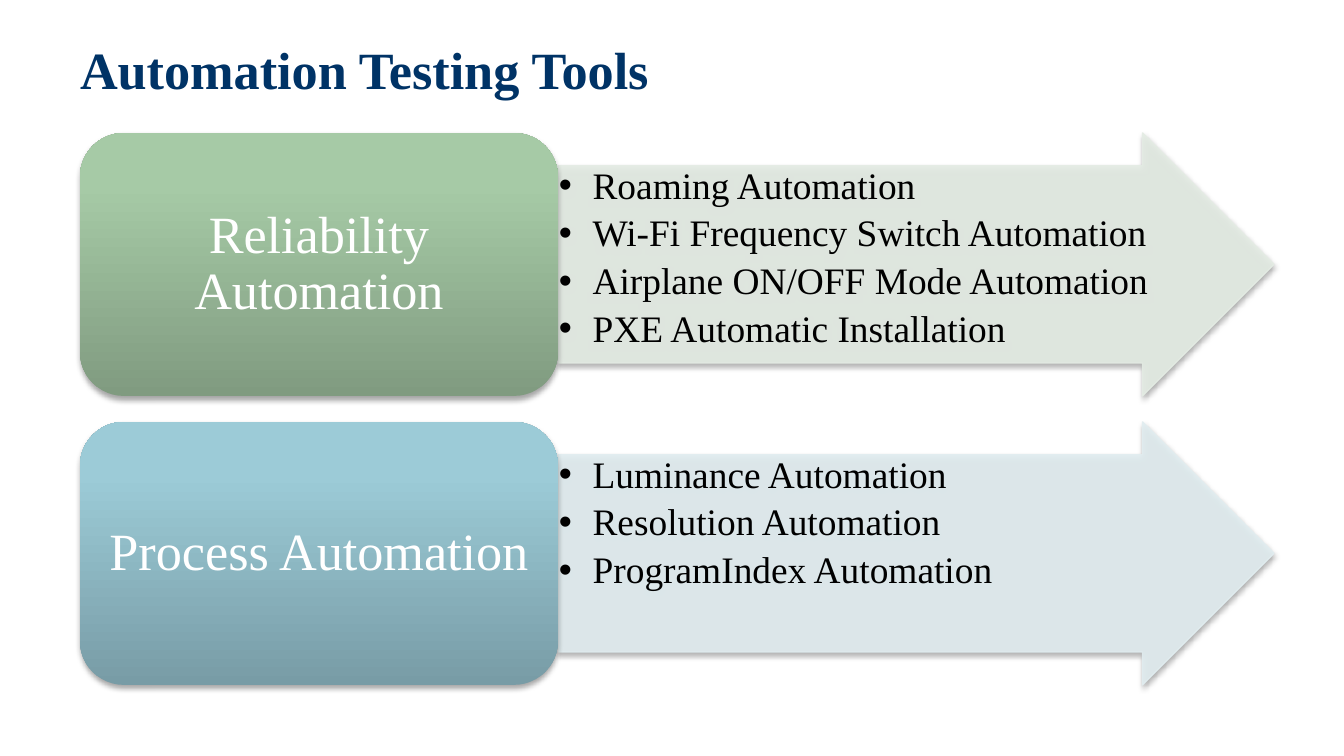
from copy import deepcopy

from lxml import etree
from pptx import Presentation
from pptx.dml.color import RGBColor
from pptx.enum.shapes import MSO_SHAPE
from pptx.enum.text import MSO_ANCHOR, PP_ALIGN
from pptx.oxml.ns import qn
from pptx.util import Emu, Pt

ARROW = MSO_SHAPE.RIGHT_ARROW
ROUNDED = MSO_SHAPE.ROUNDED_RECTANGLE
TOP, MIDDLE = MSO_ANCHOR.TOP, MSO_ANCHOR.MIDDLE
LEFT, CENTER = PP_ALIGN.LEFT, PP_ALIGN.CENTER

PIXEL = 914400 / 134.4
FONT = "Times New Roman"
TITLE_ONLY = 5
COLORS = {
    "title": "003366",
    "label": "FFFFFF",
    "item": "000000",
    "shadow": "000000",
    "green": ("809B80", "A6CAA6", "A7CBA7"),
    "green_arrow": "E4ECE4",
    "blue": ("789CA6", "9CCBD7", "9CCCD9"),
    "blue_arrow": "E1EDF0",
}
GRADIENT_POSITIONS = (0, 0.8, 1)

# Row grid, in pixels
ROW_TOP, ROW_HEIGHT, ROW_PITCH = 133, 263, 289
BOX_LEFT, BOX_WIDTH = 80, 478
ARROW_LEFT, ARROW_WIDTH = BOX_LEFT + BOX_WIDTH, 716

ROWS = [
    ("Reliability Automation", "green",
     ["Roaming Automation", "Wi-Fi Frequency Switch Automation",
      "Airplane ON/OFF Mode Automation", "PXE Automatic Installation"]),
    ("Process Automation", "blue",
     ["Luminance Automation", "Resolution Automation",
      "ProgramIndex Automation"]),
]


def px(pixels):
    return Emu(round(pixels * PIXEL))


def rgb(value):
    return RGBColor.from_string(value)


def add_child(parent, tag, **attributes):
    child = etree.SubElement(parent, qn(tag))
    for name, value in attributes.items():
        child.set(name, str(value))
    return child


def format_paragraph(paragraph, size, color, alignment):
    paragraph.alignment = alignment
    paragraph.font.name = FONT
    paragraph.font.size = Pt(size)
    paragraph.font.color.rgb = rgb(color)


def format_frame(frame, anchor, side, edge):
    frame.word_wrap = True
    frame.vertical_anchor = anchor
    frame.margin_left = frame.margin_right = px(side)
    frame.margin_top = frame.margin_bottom = px(edge)


def add_shadow(shape):
    shape.shadow.inherit = False
    effects = shape._element.spPr.find(qn("a:effectLst"))
    shadow = add_child(effects, "a:outerShdw", blurRad=Pt(3.1), dist=Pt(1.8),
                       dir=5400000, rotWithShape=0)
    color = add_child(shadow, "a:srgbClr", val=COLORS["shadow"])
    add_child(color, "a:alpha", val=35000)


def add_row_shape(slide, kind, left, top, width):
    shape = slide.shapes.add_shape(kind, px(left), px(top), px(width), px(ROW_HEIGHT))
    add_shadow(shape)
    return shape


def add_bullet(paragraph):
    properties = paragraph._p.get_or_add_pPr()
    properties.set("marL", str(Pt(18)))
    properties.set("indent", str(-Pt(18)))
    add_child(properties, "a:buFont", typeface="Arial")
    add_child(properties, "a:buChar", char="•")


def add_arrow(slide, top, color, items):
    arrow = add_row_shape(slide, ARROW, ARROW_LEFT, top, ARROW_WIDTH)
    arrow.adjustments[0] = 0.75
    arrow.adjustments[1] = 0.5
    arrow.fill.solid()
    arrow.fill.fore_color.rgb = rgb(color)
    arrow.line.color.rgb = rgb(color)
    arrow.line.width = Pt(0.75)
    # Slight transparency on fill and outline
    for node in arrow._element.spPr.findall(".//" + qn("a:solidFill")):
        add_child(node[0], "a:alpha", val=90000)
    frame = arrow.text_frame
    format_frame(frame, TOP, 1, 1)
    for index, item in enumerate(items):
        paragraph = frame.add_paragraph() if index else frame.paragraphs[0]
        paragraph.text = item
        paragraph.level = 1
        paragraph.line_spacing = 0.9
        paragraph.space_after = Pt(4)
        format_paragraph(paragraph, 20, COLORS["item"], LEFT)
        add_bullet(paragraph)


def fill_gradient(shape, colors):
    shape.fill.gradient()
    shape.fill.gradient_angle = 90
    stop_list = shape._element.spPr.find(".//" + qn("a:gsLst"))
    stop_list.append(deepcopy(stop_list[0]))
    for stop, position, color in zip(shape.fill.gradient_stops,
                                     GRADIENT_POSITIONS, colors):
        stop.position = position
        stop.color.rgb = rgb(color)


def add_label_box(slide, top, colors, label):
    box = add_row_shape(slide, ROUNDED, BOX_LEFT, top, BOX_WIDTH)
    fill_gradient(box, colors)
    box.line.fill.background()
    format_frame(box.text_frame, MIDDLE, 16, 8)
    paragraph = box.text_frame.paragraphs[0]
    paragraph.text = label
    paragraph.line_spacing = 0.9
    format_paragraph(paragraph, 28, COLORS["label"], CENTER)


def set_title(slide, text):
    title = slide.shapes.title
    title.left, title.top, title.width, title.height = map(px, (67, 13, 1210, 112))
    format_frame(title.text_frame, MIDDLE, 13, 7)
    paragraph = title.text_frame.paragraphs[0]
    paragraph.text = text
    format_paragraph(paragraph, 28, COLORS["title"], LEFT)
    paragraph.font.bold = True


def main():
    presentation = Presentation()
    presentation.slide_width, presentation.slide_height = px(1344), px(756)
    slide = presentation.slides.add_slide(presentation.slide_layouts[TITLE_ONLY])
    set_title(slide, "Automation Testing Tools")
    for index, (label, color, items) in enumerate(ROWS):
        top = ROW_TOP + index * ROW_PITCH
        add_arrow(slide, top, COLORS[color + "_arrow"], items)
        add_label_box(slide, top, COLORS[color], label)
    presentation.save("out.pptx")


main()
